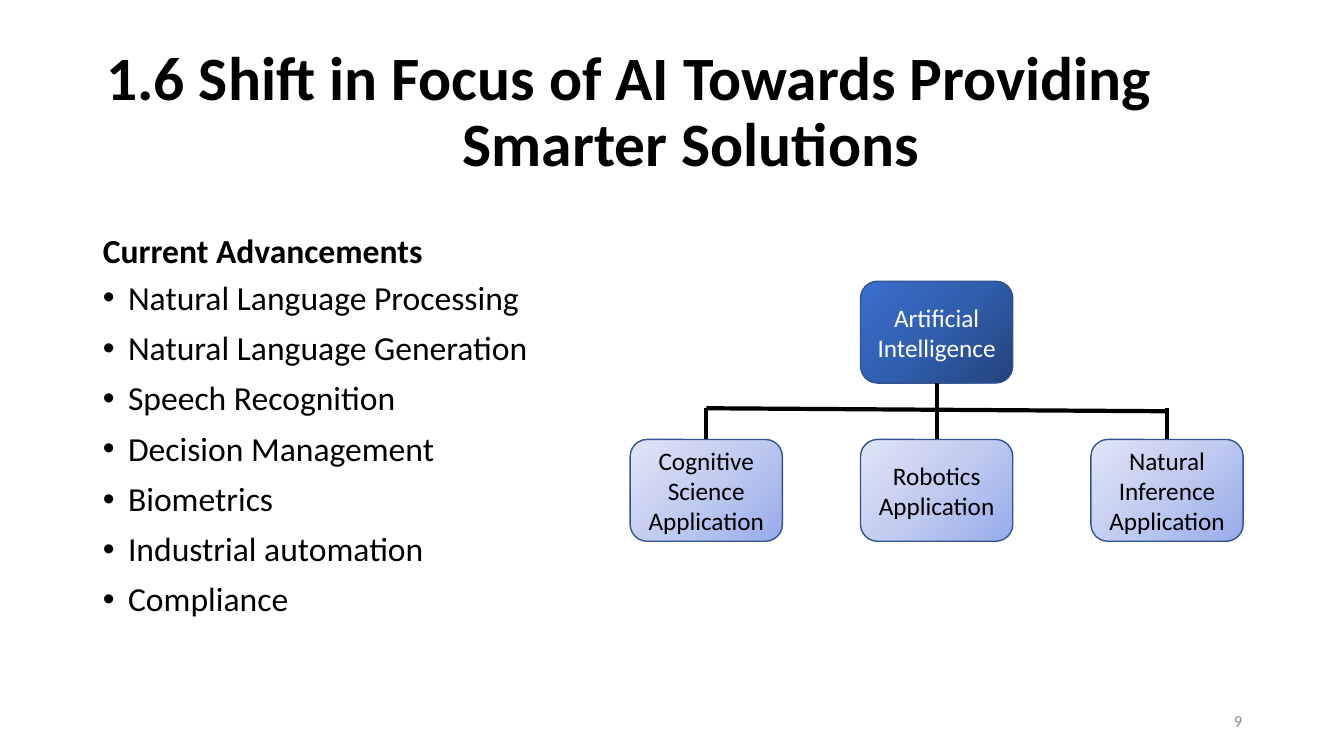
from dataclasses import dataclass

import lxml.etree
import pptx
import pptx.dml.color
import pptx.enum.shapes
import pptx.enum.text
import pptx.oxml
import pptx.oxml.ns
import pptx.util
from pptx.util import Inches

ALIGN = pptx.enum.text.PP_ALIGN
ANCHOR = pptx.enum.text.MSO_ANCHOR
qn = pptx.oxml.ns.qn


@dataclass(frozen=True)
class Theme:
    font: str = "Calibri"
    black: str = "000000"
    white: str = "FFFFFF"
    grey: str = "8C8C8C"
    outline: str = "325491"
    dark: tuple[str, ...] = ("23427A", "315EAD", "3A6FCE")
    light: tuple[str, ...] = ("96ABEA", "C0CBF0", "E0E5F7")
    title_size: int = 44
    body_size: int = 24
    box_size: int = 18
    number_size: int = 12


@dataclass(frozen=True)
class Box:
    text: str
    left: float
    top: float
    gradient: tuple[str, ...]
    color: str


@dataclass(frozen=True)
class Line:
    x1: float
    y1: float
    x2: float
    y2: float


THEME = Theme()

# Chart geometry: one root centred above three equally spaced children
BOX_W, BOX_H = 1.51, 1.01
COLUMNS = [6.25 + 2.285 * i for i in range(3)]
CENTERS = [left + BOX_W / 2 for left in COLUMNS]
ROOT_TOP, CHILD_TOP, BAR_Y = 2.79, 4.36, 4.05

APPLICATIONS = [
    "Cognitive Science Application",
    "Robotics Application",
    "Natural Inference Application",
]
BOXES = [Box(text, left, CHILD_TOP, THEME.light, THEME.black)
         for text, left in zip(APPLICATIONS, COLUMNS)]
BOXES.append(Box("Artificial Intelligence", COLUMNS[1], ROOT_TOP, THEME.dark, THEME.white))
LINES = [
    Line(CENTERS[1], ROOT_TOP + BOX_H, CENTERS[1], CHILD_TOP),
    Line(CENTERS[0], BAR_Y, CENTERS[0], CHILD_TOP),
    Line(CENTERS[2], BAR_Y, CENTERS[2], CHILD_TOP),
    Line(CENTERS[2], BAR_Y + 0.03, CENTERS[0], BAR_Y),
]

TITLE = ["1.6 Shift in Focus of AI Towards Providing", "Smarter Solutions"]
ADVANCEMENTS = [
    "Natural Language Processing",
    "Natural Language Generation",
    "Speech Recognition",
    "Decision Management",
    "Biometrics",
    "Industrial automation",
    "Compliance",
]


def rgb(value: str) -> pptx.dml.color.RGBColor:
    return pptx.dml.color.RGBColor.from_string(value)


def place(sp, left: float, top: float, width: float, height: float) -> None:
    sp.left, sp.top = Inches(left), Inches(top)
    sp.width, sp.height = Inches(width), Inches(height)


def write(sp, lines: list[str], size: int, color: str, align, anchor,
          bold: bool = False, spacing: float = 1.0, before: int = 0) -> None:
    tf = sp.text_frame
    tf.text = "\n".join(lines)
    tf.word_wrap = True
    tf.auto_size = pptx.enum.text.MSO_AUTO_SIZE.NONE
    tf.vertical_anchor = anchor
    for p in tf.paragraphs:
        p.alignment = align
        p.line_spacing = spacing
        p.space_before = pptx.util.Pt(before)
        for r in p.runs:
            r.font.name = THEME.font
            r.font.size = pptx.util.Pt(size)
            r.font.bold = bold
            r.font.color.rgb = rgb(color)


def set_margins(p, **margins: float) -> None:
    for name, value in margins.items():
        p._p.get_or_add_pPr().set(name, str(Inches(value)))


def add_bullet(p) -> None:
    set_margins(p, marL=0.25, indent=-0.25)
    pPr = p._p.get_or_add_pPr()
    lxml.etree.SubElement(pPr, qn("a:buFont"), typeface="Arial")
    lxml.etree.SubElement(pPr, qn("a:buChar"), char="•")


def fill_gradient(sp, colors: tuple[str, ...]) -> None:
    sp.fill.gradient()
    grad = sp._element.spPr.find(qn("a:gradFill"))
    stops = grad.find(qn("a:gsLst"))
    for stop in list(stops):
        stops.remove(stop)
    for i, color in enumerate(colors):
        stop = lxml.etree.SubElement(stops, qn("a:gs"), pos=str(50000 * i))
        lxml.etree.SubElement(stop, qn("a:srgbClr"), val=color)
    grad.find(qn("a:lin")).set("ang", str(225 * 60000))


def add_box(s, box: Box) -> None:
    sp = s.shapes.add_shape(pptx.enum.shapes.MSO_SHAPE.ROUNDED_RECTANGLE,
                            Inches(box.left), Inches(box.top), Inches(BOX_W), Inches(BOX_H))
    sp.shadow.inherit = False
    fill_gradient(sp, box.gradient)
    sp.line.color.rgb = rgb(THEME.outline)
    sp.line.width = pptx.util.Pt(1)
    write(sp, [box.text], THEME.box_size, box.color, ALIGN.CENTER, ANCHOR.MIDDLE)


def add_line(s, line: Line) -> None:
    cxn = s.shapes.add_connector(pptx.enum.shapes.MSO_CONNECTOR.STRAIGHT,
                                 Inches(line.x1), Inches(line.y1),
                                 Inches(line.x2), Inches(line.y2))
    cxn.line.color.rgb = rgb(THEME.black)
    cxn.line.width = pptx.util.Pt(3)
    lxml.etree.SubElement(cxn._element.spPr, qn("a:effectLst"))


def main() -> None:
    prs = pptx.Presentation()
    prs.slide_width, prs.slide_height = Inches(13.33), Inches(7.5)
    s = prs.slides.add_slide(prs.slide_layouts.get_by_name("Comparison"))
    title, heading, body, *unused = s.placeholders
    for sp in unused:
        sp._element.getparent().remove(sp._element)

    # Title: first line shifted left, second line shifted right
    place(title, 0.92, 0.4, 11.5, 1.45)
    write(title, TITLE, THEME.title_size, THEME.black, ALIGN.CENTER, ANCHOR.MIDDLE,
          bold=True, spacing=0.9)
    first, second = title.text_frame.paragraphs
    set_margins(first, marR=0.85)
    set_margins(second, marL=1.22)

    # Heading and list
    place(heading, 0.92, 1.84, 5.64, 0.9)
    write(heading, ["Current Advancements"], THEME.body_size, THEME.black, ALIGN.LEFT,
          ANCHOR.BOTTOM, bold=True, spacing=0.9, before=10)
    place(body, 0.92, 2.74, 5.64, 4.03)
    write(body, ADVANCEMENTS, THEME.body_size, THEME.black, ALIGN.LEFT, ANCHOR.TOP,
          spacing=0.9, before=10)
    for p in body.text_frame.paragraphs:
        add_bullet(p)

    # Organisation chart
    for box in BOXES:
        add_box(s, box)
    for line in LINES:
        add_line(s, line)

    # Slide number
    number = s.shapes.add_textbox(Inches(9.42), Inches(6.95), Inches(3), Inches(0.4))
    write(number, ["9"], THEME.number_size, THEME.grey, ALIGN.RIGHT, ANCHOR.MIDDLE)

    prs.save("out.pptx")


if __name__ == "__main__":
    main()
